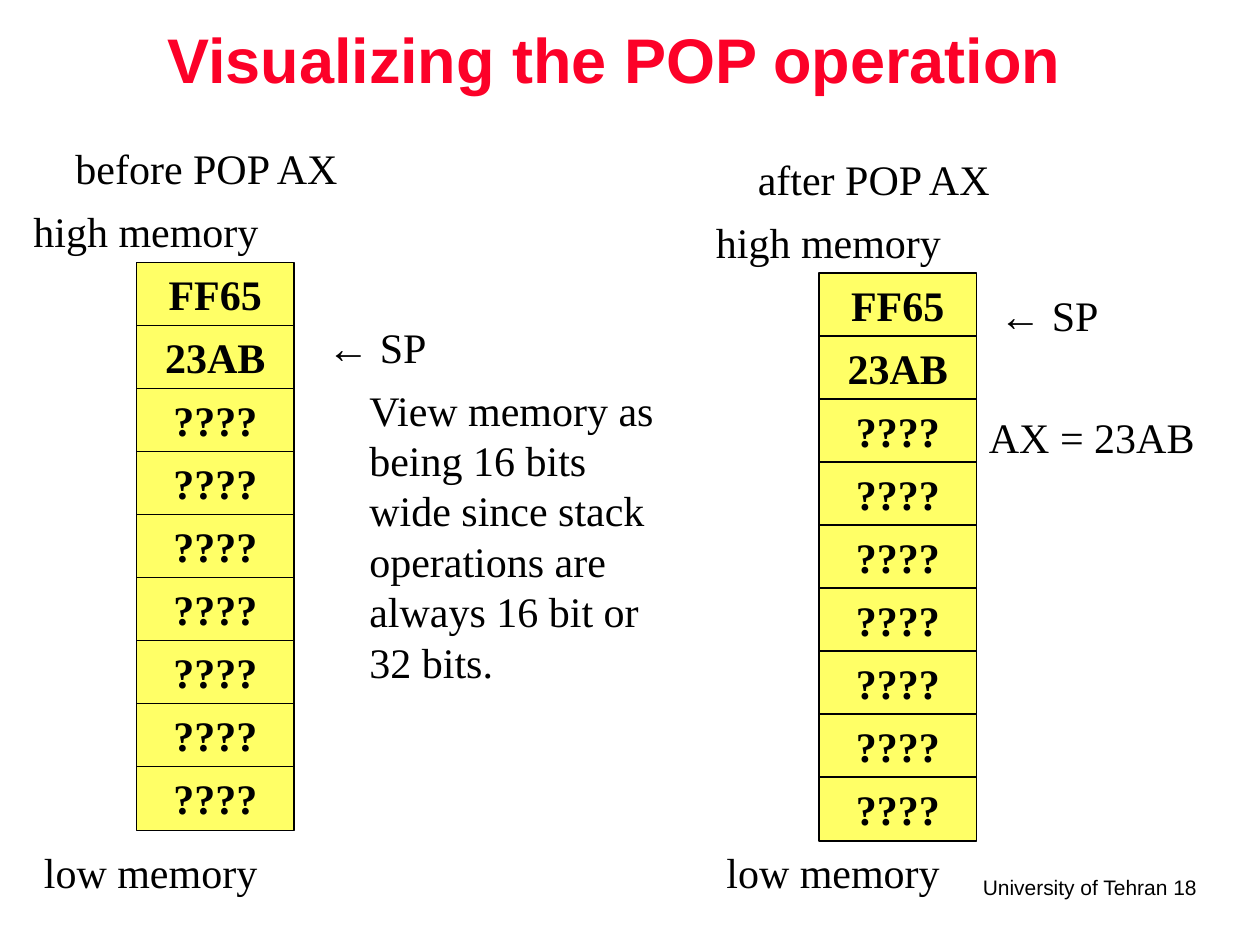
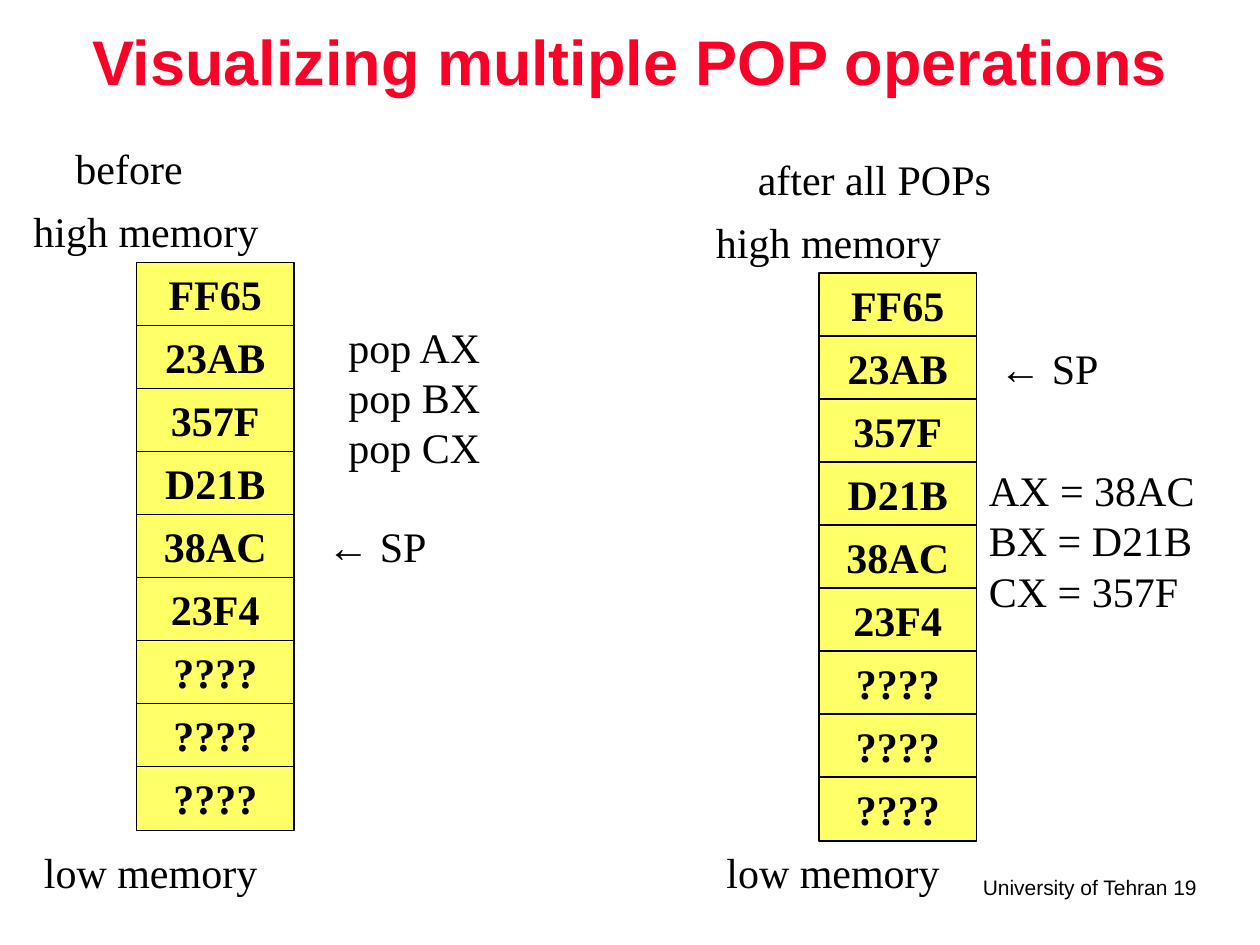
import pptx
import pptx.util
import pptx.dml.color
import pptx.enum.shapes
import pptx.enum.text

COLORS = {"title": "FC0128", "cell": "FFFF66", "ink": "000000"}
COLS, ROWS = 120, 90  # twelve grid units to the inch
AFTER_SHIFT = (65, 1)  # offset of the "after" stack from the "before" stack
ALIGN = pptx.enum.text.PP_ALIGN
ANCHOR = pptx.enum.text.MSO_ANCHOR


def rgb(name):
    return pptx.dml.color.RGBColor.from_string(COLORS[name])


def write(tf, text, size=24, font="Times New Roman", color="ink", bold=False,
          align=ALIGN.LEFT, indent=0, gap=0, spacing=None):
    """Append one paragraph per line; gap is the space above the first line."""
    for i, line in enumerate(text.split("\n")):
        p = tf.add_paragraph() if tf.text else tf.paragraphs[0]
        p.alignment = align
        if indent:
            p._p.get_or_add_pPr().set("marL", str(pptx.util.Pt(indent)))
        if gap and i == 0:
            p.space_before = pptx.util.Pt(gap)
        if spacing:
            p.line_spacing = spacing
        r = p.add_run()
        r.text = line
        r.font.size = pptx.util.Pt(size)
        r.font.name = font
        r.font.bold = bold
        r.font.color.rgb = rgb(color)


class Deck:
    def __init__(self):
        self.prs = pptx.Presentation()
        self.prs.slide_width = pptx.util.Inches(10)
        self.prs.slide_height = pptx.util.Inches(7.5)
        self.s = None

    def place(self, x, y, w, h):
        col = self.prs.slide_width / COLS
        row = self.prs.slide_height / ROWS
        return [round(v) for v in (x * col, y * row, w * col, h * row)]

    def slide(self, title, title_at, number):
        self.s = self.prs.slides.add_slide(self.prs.slide_layouts[6])
        self.text(title, *title_at, anchor=ANCHOR.MIDDLE, size=36, font="Arial",
                  color="title", bold=True, align=ALIGN.CENTER, spacing=0.9)
        self.text(f"University of Tehran {number}", 91.9, 82.7, 23.3, 3.6,
                  wrap=False, size=12, font="Arial", align=ALIGN.RIGHT)

    def text(self, text, x, y, w, h, anchor=ANCHOR.TOP, wrap=True, **style):
        tf = self.s.shapes.add_textbox(*self.place(x, y, w, h)).text_frame
        tf.word_wrap = wrap
        tf.vertical_anchor = anchor
        write(tf, text, **style)
        return tf

    def cell(self, value, x, y):
        sp = self.s.shapes.add_shape(pptx.enum.shapes.MSO_SHAPE.RECTANGLE,
                                     *self.place(x, y, 15, 6.1))
        sp.shadow.inherit = False
        sp.fill.solid()
        sp.fill.fore_color.rgb = rgb("cell")
        sp.line.color.rgb = rgb("ink")
        sp.line.width = pptx.util.Pt(0.75)
        sp.text_frame.vertical_anchor = ANCHOR.TOP
        write(sp.text_frame, value, bold=True, align=ALIGN.CENTER)

    def stack(self, caption, values, shift=(0, 0)):
        dx, dy = shift
        for i, value in enumerate(values):
            self.cell(value, 13 + dx, 25 + dy + 6 * i)
        self.text("high memory", 2 + dx, 19 + dy, 27, 6)
        self.text("low memory", 3 + dx, 80, 32, 6)
        self.text(caption, 6 + dx, 13 + dy, 32, 6)

    def pointer(self, x, y, w=20, h=6):
        return self.text("← SP", x, y, w, h, indent=12)

    def result(self, y, h, registers):
        tf = self.pointer(92, y, 24, h)
        write(tf, registers, indent=6, gap=41)


def main():
    deck = Deck()

    # Single POP
    memory = ["FF65", "23AB"] + ["????"] * 7
    deck.slide("Visualizing the POP operation", (7, 0, 103, 12), 18)
    deck.stack("before POP AX", memory)
    deck.pointer(28, 30)
    deck.stack("after POP AX", memory, AFTER_SHIFT)
    deck.result(27, 18, "AX = 23AB")
    deck.text("View memory as being 16 bits wide since stack operations "
              "are always 16 bit or 32 bits.", 34, 36, 30, 30)

    # Several POPs
    memory = ["FF65", "23AB", "357F", "D21B", "38AC", "23F4"] + ["????"] * 3
    deck.slide("Visualizing multiple POP operations", (3, 3.5, 114, 5.5), 19)
    deck.stack("after all POPs", memory, AFTER_SHIFT)
    deck.result(32, 27.6, "AX = 38AC\nBX = D21B\nCX = 357F")
    deck.stack("before", memory)
    deck.pointer(28, 49)
    deck.text("pop AX\npop BX\npop CX", 32, 30, 32, 15.6)

    deck.prs.save("out.pptx")


if __name__ == "__main__":
    main()
